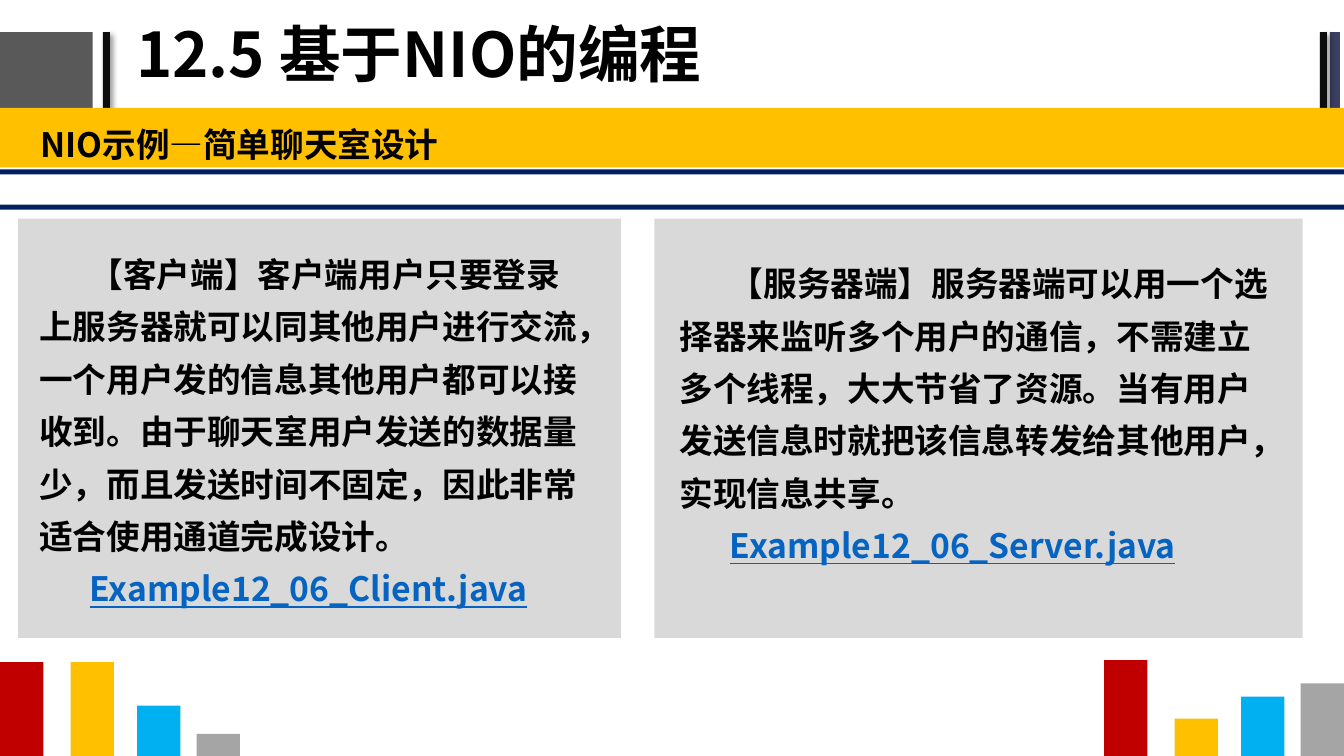
from dataclasses import dataclass

from lxml import etree
from pptx import Presentation
from pptx.dml.color import RGBColor
from pptx.enum.shapes import MSO_SHAPE
from pptx.enum.text import MSO_ANCHOR, PP_ALIGN
from pptx.oxml.ns import qn
from pptx.util import Inches, Pt

RECTANGLE = MSO_SHAPE.RECTANGLE
TOP, MIDDLE = MSO_ANCHOR.TOP, MSO_ANCHOR.MIDDLE
LEFT = PP_ALIGN.LEFT
FONT = "Noto Sans CJK SC"
WIDTH, HEIGHT = 13.33, 7.5
COLORS = {
    "white": "FFFFFF", "black": "000000", "charcoal": "595959",
    "ink": "0D0D0D", "slate": "3B3F60", "navy": "002060",
    "amber": "FFC000", "panel": "D9D9D9", "link": "0563C1",
    "red": "C00000", "blue": "00B0F0", "gray": "A5A5A5",
}


@dataclass
class Block:
    left: float
    top: float
    width: float
    height: float
    color: str
    shadow: bool = False


@dataclass
class Line:
    text: str
    size: int = 24
    spacing: float = 1.3
    indent: float = 0
    before: float = 0
    color: str = "black"
    underline: bool = False


@dataclass
class TextArea:
    left: float
    top: float
    width: float
    height: float
    lines: list[Line]


def rgb(name: str) -> RGBColor:
    return RGBColor.from_string(COLORS[name])


def place(shape, item: Block | TextArea) -> None:
    for name in ("left", "top", "width", "height"):
        setattr(shape, name, Inches(getattr(item, name)))


def add_shadow(shape) -> None:
    effects = shape._element.spPr.find(qn("a:effectLst"))
    shadow = etree.SubElement(effects, qn("a:outerShdw"), blurRad=str(Pt(4)),
                              dist=str(Pt(3)), dir="2700000")
    color = etree.SubElement(shadow, qn("a:srgbClr"), val=COLORS["black"])
    etree.SubElement(color, qn("a:alpha"), val="40000")


def draw_block(slide, block: Block) -> None:
    shape = slide.shapes.add_shape(RECTANGLE, 0, 0, 0, 0)
    place(shape, block)
    shape.fill.solid()
    shape.fill.fore_color.rgb = rgb(block.color)
    shape.line.fill.background()
    shape.shadow.inherit = False
    if block.shadow:
        add_shadow(shape)


def write_line(paragraph, line: Line) -> None:
    paragraph_format = {"alignment": LEFT, "line_spacing": line.spacing,
                        "space_before": Pt(line.before)}
    for name, value in paragraph_format.items():
        setattr(paragraph, name, value)
    properties = paragraph._p.get_or_add_pPr()
    properties.set("marL", "0")
    properties.set("indent", str(Inches(line.indent)))
    run = paragraph.add_run()
    run.text = line.text
    font_format = {"name": FONT, "size": Pt(line.size), "bold": True,
                   "underline": line.underline}
    for name, value in font_format.items():
        setattr(run.font, name, value)
    run.font.color.rgb = rgb(line.color)
    latin = run._r.get_or_add_rPr().find(qn("a:latin"))
    east_asian = etree.Element(qn("a:ea"), typeface=FONT)
    latin.addnext(east_asian)


def draw_text(slide, area: TextArea) -> None:
    box = slide.shapes.add_textbox(0, 0, 0, 0)
    place(box, area)
    frame = box.text_frame
    frame_format = {
        "word_wrap": True, "vertical_anchor": TOP,
        "margin_left": Inches(0.13), "margin_right": Inches(0.13),
        "margin_top": Inches(0.07), "margin_bottom": Inches(0.07),
    }
    for name, value in frame_format.items():
        setattr(frame, name, value)
    for index, line in enumerate(area.lines):
        paragraph = frame.add_paragraph() if index else frame.paragraphs[0]
        write_line(paragraph, line)


def draw_title(slide, area: TextArea) -> None:
    title = slide.shapes.title
    place(title, area)
    title.text_frame.word_wrap = True
    title.text_frame.vertical_anchor = MIDDLE
    write_line(title.text_frame.paragraphs[0], area.lines[0])


def bars(start: float, heights: list[float]) -> list[Block]:
    """Four bars standing on the bottom edge of the slide."""
    offsets = (0, 0.7, 1.36, 1.95)
    names = ("red", "amber", "blue", "gray")
    return [Block(start + offset, HEIGHT - height, 0.43, height, name)
            for offset, height, name in zip(offsets, heights, names)]


def example(left: float, top: float, width: float, height: float,
            text: str, file_name: str) -> TextArea:
    return TextArea(left, top, width, height, [
        Line(text, indent=0.5),
        Line(file_name, indent=0.5, color="link", underline=True)])


HEADER = [
    Block(-0.02, 0.32, 0.94, 0.76, "charcoal"),
    Block(1.02, 0.32, 0.07, 0.76, "ink", shadow=True),
    Block(13.19, 0.32, 0.1, 0.76, "slate"),
    Block(13.09, 0.32, 0.07, 0.76, "ink", shadow=True),
]
BAND = Block(-0.07, 1.07, 13.4, 0.59, "amber")
RULES = [Block(0, top, WIDTH, 0.05, "navy") for top in (1.68, 2.03)]
PANELS = [Block(6.49, 2.17, 6.43, 4.16, "panel"),
          Block(0.18, 2.17, 5.98, 4.16, "panel")]
BARS = (bars(10.95, [0.95, 0.37, 0.59, 0.72])
        + bars(0, [0.93, 0.93, 0.5, 0.22]))
TITLE = TextArea(1.25, 0.02, 8.47, 1.1,
                 [Line("12.5 基于NIO的编程", size=44, spacing=0.9)])
TEXTS = [
    TextArea(0.27, 1.08, 13.06, 0.58,
             [Line("NIO示例—简单聊天室设计", spacing=1.2, before=4.8)]),
    example(0.26, 2.33, 5.66, 3.99,
            "【客户端】客户端用户只要登录上服务器就可以同其他用户进行交流，"
            "一个用户发的信息其他用户都可以接收到。由于聊天室用户发送的数据量少，"
            "而且发送时间不固定，因此非常适合使用通道完成设计。",
            "Example12_06_Client.java"),
    example(6.61, 2.42, 6.13, 3.67,
            "【服务器端】服务器端可以用一个选择器来监听多个用户的通信，"
            "不需建立多个线程，大大节省了资源。当有用户发送信息时就把该信息"
            "转发给其他用户，实现信息共享。",
            "Example12_06_Server.java"),
]


def main() -> None:
    presentation = Presentation()
    presentation.slide_width = Inches(WIDTH)
    presentation.slide_height = Inches(HEIGHT)
    slide = presentation.slides.add_slide(presentation.slide_layouts[5])
    slide.background.fill.solid()
    slide.background.fill.fore_color.rgb = rgb("white")

    # Title, then the header, band, panels and corner bars
    draw_title(slide, TITLE)
    for block in [*HEADER, BAND, *RULES, *PANELS, *BARS]:
        draw_block(slide, block)

    # Subtitle and the two explanations
    for area in TEXTS:
        draw_text(slide, area)

    presentation.save("out.pptx")


if __name__ == "__main__":
    main()
